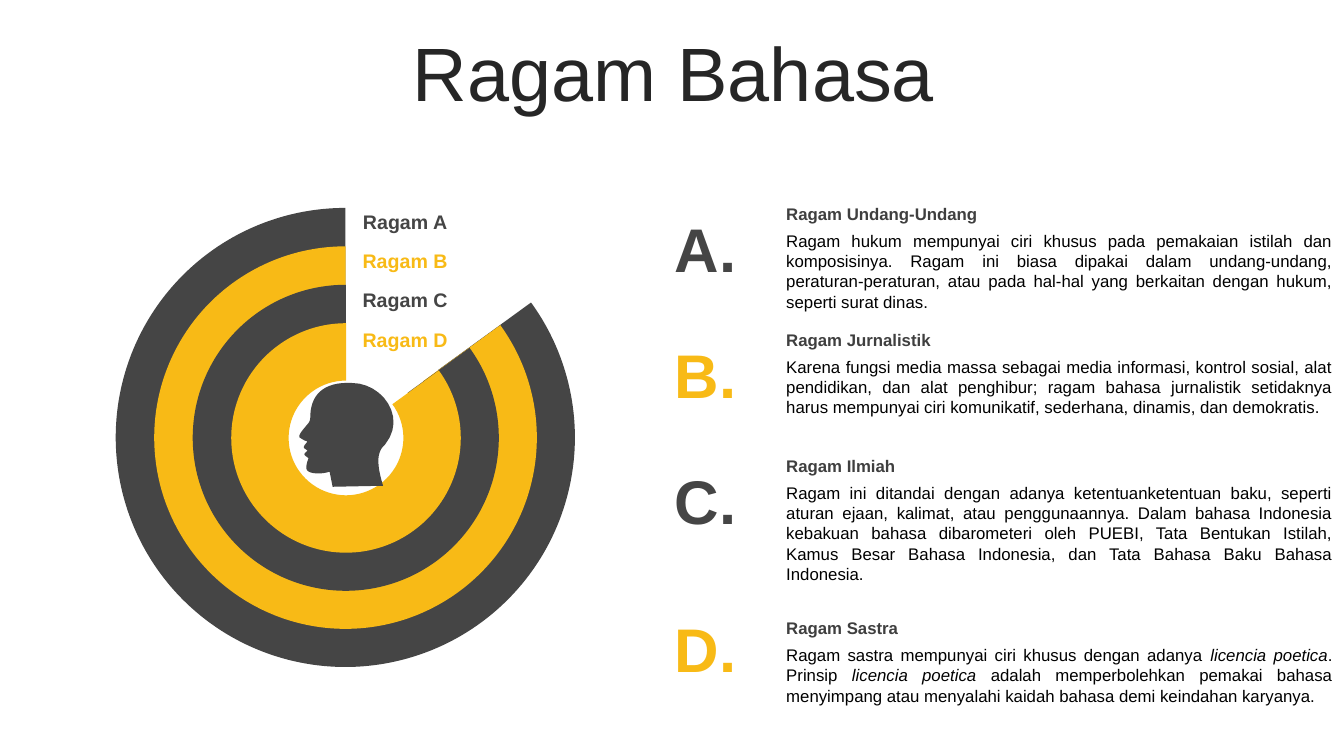
from dataclasses import dataclass

import lxml.etree
import pptx
import pptx.chart.data
import pptx.dml.color
import pptx.enum.chart
import pptx.enum.text
import pptx.oxml.ns
import pptx.shapes.shapetree
import pptx.slide
import pptx.text.text
import pptx.util

RGBColor = pptx.dml.color.RGBColor
Align = pptx.enum.text.PP_ALIGN

CHARCOAL = RGBColor(0x45, 0x45, 0x45)
AMBER = RGBColor(0xF8, 0xBA, 0x16)
TITLE_INK = RGBColor(0x26, 0x26, 0x26)
HEADING_INK = RGBColor(0x3F, 0x3F, 0x3F)
BLACK = RGBColor(0, 0, 0)

FONT = "Arial"
SLIDE_WIDTH = pptx.util.Inches(13.33)
SLIDE_HEIGHT = pptx.util.Inches(7.5)
COLUMN = SLIDE_WIDTH / 100
ROW = SLIDE_HEIGHT / 100

RING_CENTER_COLUMN = 25.8
RING_CENTER_ROW = 58
RING_STEP = 10.5 * ROW
RING_LAYOUT = {"x": 0.015, "y": 0.011, "w": 0.964, "h": 0.974}

HEAD_UNIT = SLIDE_HEIGHT / 750
HEAD_LEFT = 22.28 * COLUMN
HEAD_TOP = 50.53 * ROW
HEAD_START = (52, 1)
HEAD_SEGMENTS = [
    [(31, 0), (18, 7), (13, 21)],
    [(9, 33), (13, 37), (8, 42)],
    [(4, 47), (-1, 52), (0, 55)],
    [(2, 56), (4, 58), (8, 59)],
    [(7, 61), (3, 64), (5, 66)],
    [(8, 68)],
    [(7, 70), (5, 70), (5, 72)],
    [(6, 74), (9, 75), (9, 76)],
    [(7, 81), (6, 86), (8, 88)],
    [(11, 91), (21, 92), (30, 89)],
    [(33, 104)],
    [(83, 103)],
    [(76, 80), (77, 69), (85, 62)],
    [(107, 35), (82, 1), (52, 1)],
]
CURVE_STEPS = 12


@dataclass(frozen=True)
class Area:
    column: float
    row: float
    columns: float
    rows: float

    def lengths(self) -> tuple[int, int, int, int]:
        return (round(self.column * COLUMN), round(self.row * ROW),
                round(self.columns * COLUMN), round(self.rows * ROW))


@dataclass(frozen=True)
class Style:
    size: float
    color: RGBColor
    bold: bool = False
    align: Align = Align.CENTER
    side_inset: float = 0.1


@dataclass(frozen=True)
class Span:
    text: str
    italic: bool = False


@dataclass(frozen=True)
class Variety:
    letter: str
    color: RGBColor
    hole: int
    letter_row: float
    heading_row: float
    body_rows: float
    heading: str
    body: tuple[Span, ...]


VARIETIES = [
    Variety("A", CHARCOAL, 87, 27.2, 26.27, 12.1, "Ragam Undang-Undang", (
        Span("Ragam hukum mempunyai ciri khusus pada pemakaian istilah dan komposisinya. "
             "Ragam ini biasa dipakai dalam undang-undang, peraturan-peraturan, atau pada "
             "hal-hal yang berkaitan dengan hukum, seperti surat dinas."),)),
    Variety("B", AMBER, 84, 43.87, 42.93, 9.5, "Ragam Jurnalistik", (
        Span("Karena fungsi media massa sebagai media informasi, kontrol sosial, alat "
             "pendidikan, dan alat penghibur; ragam bahasa jurnalistik setidaknya harus "
             "mempunyai ciri komunikatif, sederhana, dinamis, dan demokratis."),)),
    Variety("C", CHARCOAL, 80, 60.53, 59.6, 14.8, "Ragam Ilmiah", (
        Span("Ragam ini ditandai dengan adanya ketentuanketentuan baku, seperti aturan "
             "ejaan, kalimat, atau penggunaannya. Dalam bahasa Indonesia kebakuan bahasa "
             "dibarometeri oleh PUEBI, Tata Bentukan Istilah, Kamus Besar Bahasa "
             "Indonesia, dan Tata Bahasa Baku Bahasa Indonesia."),)),
    Variety("D", AMBER, 74, 80.13, 81.07, 9.5, "Ragam Sastra", (
        Span("Ragam sastra mempunyai ciri khusus dengan adanya "),
        Span("licencia poetica", True),
        Span(". Prinsip "),
        Span("licencia poetica ", True),
        Span("adalah memperbolehkan pemakai bahasa menyimpang atau menyalahi kaidah "
             "bahasa demi keindahan karyanya."))),
]


def write_spans(para: pptx.text.text._Paragraph, spans: tuple[Span, ...], style: Style) -> None:
    para.alignment = style.align
    for span in spans:
        run = para.add_run()
        run.text = span.text
        run.font.name = FONT
        run.font.size = pptx.util.Pt(style.size)
        run.font.bold = style.bold
        run.font.italic = span.italic
        run.font.color.rgb = style.color


def add_text(shapes: pptx.shapes.shapetree.GroupShapes | pptx.shapes.shapetree.SlideShapes,
             area: Area, spans: tuple[Span, ...], style: Style) -> None:
    frame = shapes.add_textbox(*area.lengths()).text_frame
    frame.word_wrap = True
    frame.auto_size = pptx.enum.text.MSO_AUTO_SIZE.SHAPE_TO_FIT_TEXT
    frame.margin_left = frame.margin_right = pptx.util.Inches(style.side_inset)
    write_spans(frame.paragraphs[0], spans, style)


def add_title(page: pptx.slide.Slide) -> None:
    title = page.shapes.title
    title.left, title.top, title.width, title.height = Area(2.63, 4.93, 94.97, 10.53).lengths()
    frame = title.text_frame
    frame.word_wrap = True
    frame.vertical_anchor = pptx.enum.text.MSO_ANCHOR.MIDDLE
    frame.paragraphs[0].line_spacing = 0.9
    write_spans(frame.paragraphs[0], (Span("Ragam Bahasa"),), Style(54, TITLE_INK))


def add_ring(page: pptx.slide.Slide, variety: Variety, steps: int) -> None:
    data = pptx.chart.data.CategoryChartData()
    data.categories = ["1", "2"]
    data.add_series("Series 1", (15, 85))
    side = round(steps * RING_STEP)
    left = round(RING_CENTER_COLUMN * COLUMN - side / 2)
    top = round(RING_CENTER_ROW * ROW - side / 2)
    chart = page.shapes.add_chart(pptx.enum.chart.XL_CHART_TYPE.DOUGHNUT,
                                  left, top, side, side, data).chart
    chart.has_legend = False
    chart.has_title = False
    chart.font.name = FONT
    chart.font.size = pptx.util.Pt(18)
    chart.font.color.rgb = BLACK
    plot = chart.plots[0]
    plot.has_data_labels = False
    gap, arc = (plot.series[0].points[index].format for index in range(2))
    gap.fill.background()
    arc.fill.solid()
    arc.fill.fore_color.rgb = variety.color
    for part in (gap, arc):
        part.line.fill.background()

    name = pptx.oxml.ns.qn
    plot_area = chart.element.find(".//" + name("c:plotArea"))
    plot_area.find(".//" + name("c:holeSize")).set("val", str(variety.hole))
    for layout in plot_area.findall(name("c:layout")):
        plot_area.remove(layout)
    layout = lxml.etree.Element(name("c:layout"))
    manual = lxml.etree.SubElement(layout, name("c:manualLayout"))
    settings = {"layoutTarget": "inner", "xMode": "edge", "yMode": "edge", **RING_LAYOUT}
    for tag, value in settings.items():
        lxml.etree.SubElement(manual, name("c:" + tag)).set("val", str(value))
    plot_area.insert(0, layout)


def head_outline() -> list[tuple[float, float]]:
    points = [HEAD_START]
    for segment in HEAD_SEGMENTS:
        if len(segment) == 1:
            points.append(segment[0])
            continue
        corners = [points[-1], *segment]
        for step in range(1, CURVE_STEPS + 1):
            t = step / CURVE_STEPS
            weights = ((1 - t) ** 3, 3 * t * (1 - t) ** 2, 3 * t * t * (1 - t), t ** 3)
            points.append(tuple(sum(weight * corner[axis] for weight, corner in zip(weights, corners))
                                for axis in range(2)))
    return points


def add_head(page: pptx.slide.Slide) -> None:
    points = [(round(HEAD_LEFT + x * HEAD_UNIT), round(HEAD_TOP + y * HEAD_UNIT))
              for x, y in head_outline()]
    builder = page.shapes.build_freeform(*points[0], scale=1.0)
    builder.add_line_segments(points[1:], close=True)
    head = builder.convert_to_shape()
    head.shadow.inherit = False
    head.fill.solid()
    head.fill.fore_color.rgb = CHARCOAL
    head.line.fill.background()


def add_description(page: pptx.slide.Slide, variety: Variety) -> None:
    group = page.shapes.add_group_shape()
    add_text(group.shapes, Area(57.6, variety.heading_row + 3.6, 42.45, variety.body_rows),
             variety.body, Style(12, BLACK, align=Align.JUSTIFY, side_inset=0.12))
    add_text(group.shapes, Area(57.6, variety.heading_row, 36.4, 4),
             (Span(variety.heading),), Style(12, HEADING_INK, True, Align.LEFT, 0.12))


def main() -> None:
    deck = pptx.Presentation()
    deck.slide_width, deck.slide_height = SLIDE_WIDTH, SLIDE_HEIGHT
    page = deck.slides.add_slide(deck.slide_layouts.get_by_name("Title Only"))
    add_title(page)
    for index, variety in enumerate(VARIETIES):
        add_ring(page, variety, 6 - index)
    for index, variety in enumerate(VARIETIES):
        add_text(page.shapes, Area(47.4, variety.letter_row, 10.2, 11.2),
                 (Span(variety.letter + "."),), Style(44, variety.color, True))
        add_description(page, variety)
        add_text(page.shapes, Area(25.8, 27.07 + 5.2 * index, 8.7, 4.53),
                 (Span("Ragam " + variety.letter),), Style(14, variety.color, True))
    add_head(page)
    deck.save("out.pptx")


if __name__ == "__main__":
    main()
